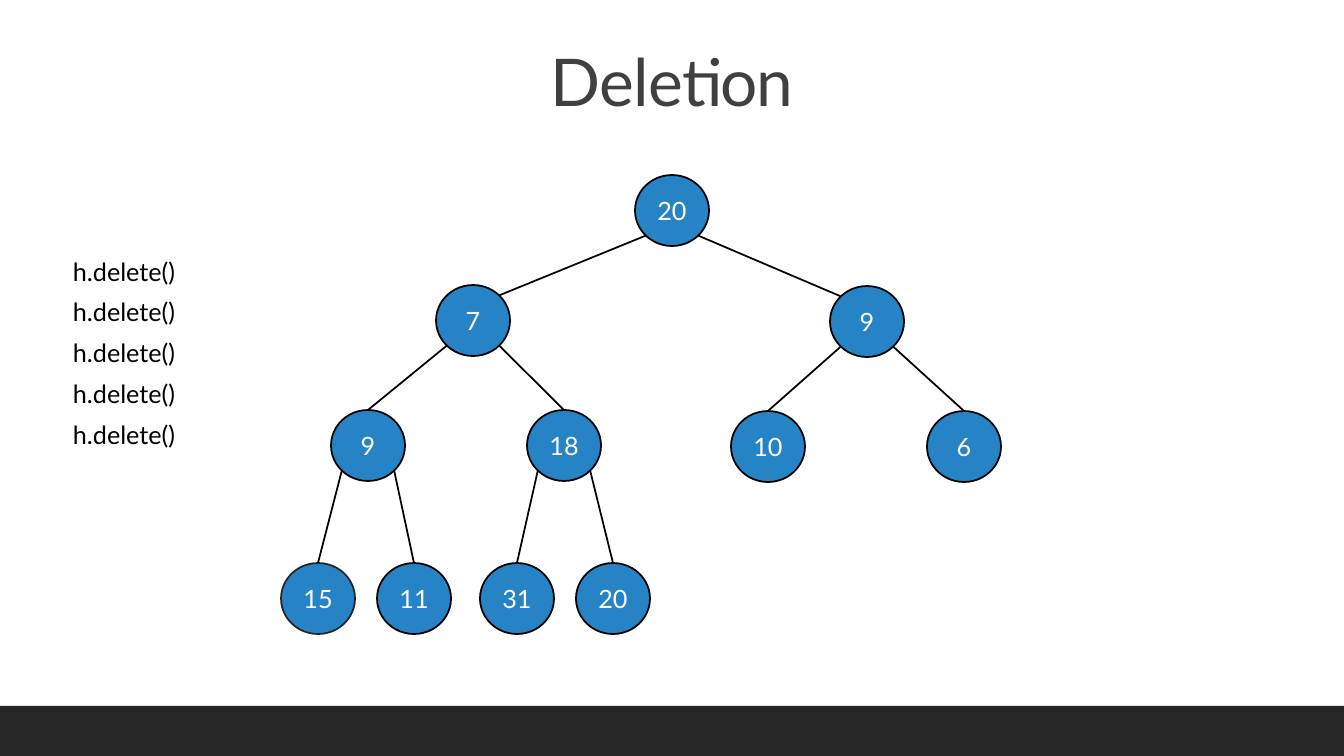
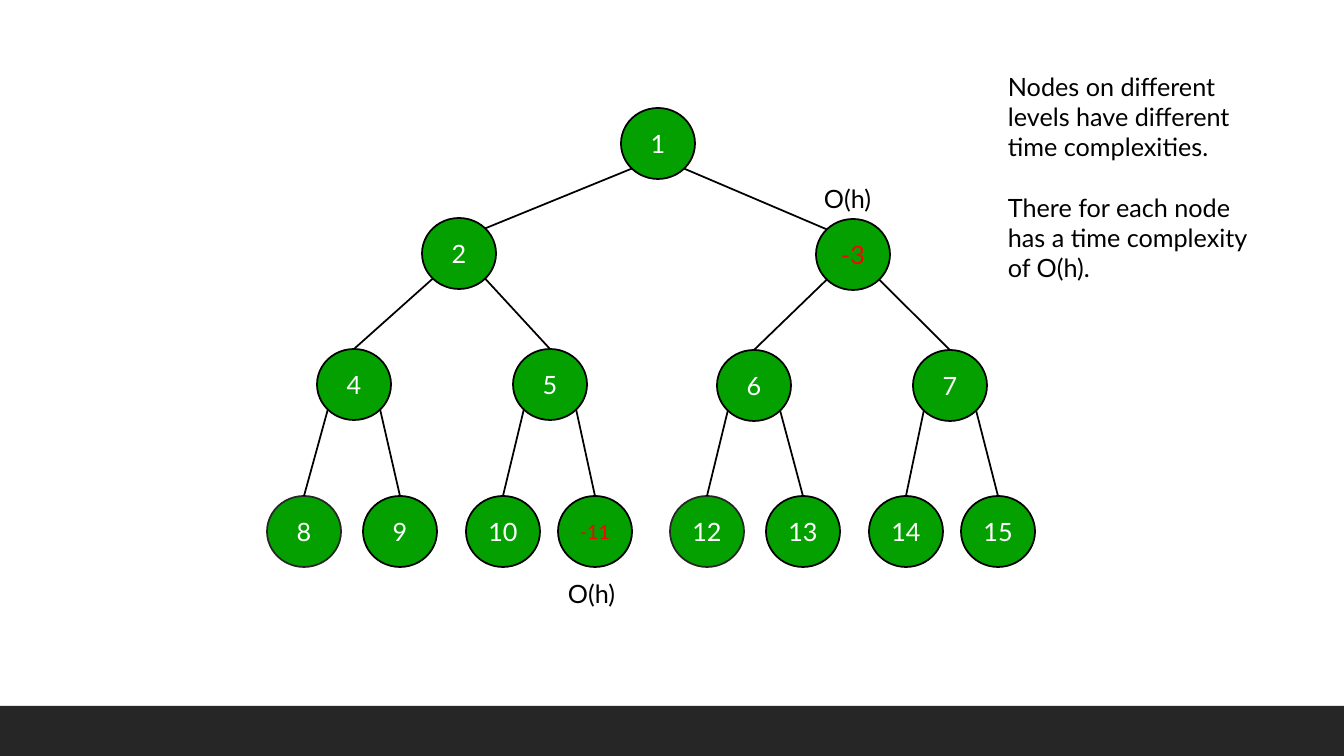
from pptx import Presentation
from pptx.dml.color import RGBColor
from pptx.enum.shapes import MSO_CONNECTOR as Link, MSO_SHAPE as Preset
from pptx.enum.text import MSO_ANCHOR as Anchor, PP_ALIGN as Align
from pptx.oxml.ns import qn
from pptx.util import Pt
from lxml.etree import SubElement

PX = 914400 / 100.8
WIDTH, HEIGHT = 1344, 756
FONT = "Lato"
COLORS = {
    "band": "262626",
    "title": "404040",
    "text": "000000",
    "edge": "000000",
    "label": "FFFFFF",
    "changed": "FF0000",
    "blue": "2683C6",
    "green": "04A000",
}

# Heap layout: the children of node i are 2i + 1 and 2i + 2
NODE_W, NODE_H = 74, 71
LEVEL_OFFSETS = [
    [0],
    [-199, 195],
    [-304, -108, 96, 292],
    [-354, -258, -155, -59, 49, 145, 248, 340],
]
LOWERED = {2, 5, 6}  # right branch sits one pixel lower
SOFT_EDGED = {7, 11}
DIAGONAL = 0.5 ** 0.5 / 2  # centre to a diagonal point, as a share of the size


def px(length):
    return round(length * PX)


def color(name):
    return RGBColor.from_string(COLORS[name])


def style(paragraph, size, tone):
    font = paragraph.font
    font.name, font.size = FONT, Pt(size)
    font.color.rgb = color(tone)


def add_text(slide, box, lines, size=18, tone="text", align=Align.LEFT):
    frame = slide.shapes.add_textbox(*map(px, box)).text_frame
    frame.word_wrap = True
    frame.text = "\n".join(lines)
    for paragraph in frame.paragraphs:
        paragraph.alignment = align
        style(paragraph, size, tone)
    return frame


def add_footer_band(slide, box):
    band = slide.shapes.add_shape(Preset.RECTANGLE, *map(px, box))
    band.shadow.inherit = False
    band.fill.solid()
    band.fill.fore_color.rgb = color("band")
    band.line.fill.background()


def add_title(slide, box, title):
    heading = add_text(slide, box, [title], 47, "title", Align.CENTER).paragraphs[0]
    heading.line_spacing = 0.9
    heading.runs[0].font._element.set("spc", "-50")


def add_edge(slide, start, end):
    edge = slide.shapes.add_connector(Link.STRAIGHT, *map(px, start + end))
    edge.line.color.rgb = color("edge")
    edge.line.width = Pt(1.25)
    SubElement(edge._element.spPr, qn("a:effectLst"))


def add_node(slide, corner, label, fill, edge="edge", size=18, tone="label"):
    node = slide.shapes.add_shape(Preset.OVAL, *map(px, corner + (NODE_W, NODE_H)))
    node.shadow.inherit = False
    node.fill.solid()
    node.fill.fore_color.rgb = color(fill)
    node.line.color.rgb = color(edge)
    node.line.width = Pt(1.25)
    frame = node.text_frame
    frame.margin_left = frame.margin_right = 0
    frame.vertical_anchor = Anchor.MIDDLE
    frame.text = label
    value = frame.paragraphs[0]
    value.alignment = Align.CENTER
    style(value, size, tone)


def rim(corner, across, down):
    """Point on a node's outline; across and down are shares from its centre."""
    left, top = corner
    return left + NODE_W * (0.5 + across), top + NODE_H * (0.5 + down)


def add_heap(slide, root_left, level_tops, labels, fill, special=None):
    special = special or {}
    corners = []
    for top, offsets in zip(level_tops, LEVEL_OFFSETS):
        for offset in offsets:
            drop = 1 if len(corners) in LOWERED else 0
            corners.append((root_left + offset, top + drop))

    for i, label in enumerate(labels):
        options = dict(special.get(i, {}))
        left, top = corners[i]
        corners[i] = left + options.pop("shift", 0), top
        edge = "band" if i in SOFT_EDGED else "edge"
        add_node(slide, corners[i], label, fill, edge, **options)

    for i in range(1, len(labels)):
        side = -DIAGONAL if i % 2 else DIAGONAL
        start = rim(corners[(i - 1) // 2], side, DIAGONAL)
        # The root's edges end on the near shoulder, the others on top
        end = rim(corners[i], -side, -DIAGONAL) if i < 3 else rim(corners[i], 0, -0.5)
        add_edge(slide, start, end)


def add_calls(slide, box, call, count):
    left, top, width, height = box
    row_height = 40
    pitch = (height - row_height) / (count - 1)
    for row in range(count):
        add_text(slide, (left, top + row * pitch, width, row_height), [call])


def add_note(slide, box, *blocks):
    note = add_text(slide, box, [line for block in blocks for line in block])
    start = 0
    for block in blocks[:-1]:
        start += len(block)
        note.paragraphs[start].space_before = Pt(21.6)


def new_slide(deck):
    slide = deck.slides.add_slide(deck.slide_layouts[6])
    add_footer_band(slide, (0, 706, WIDTH, 50))
    return slide


def build_deletion(deck):
    slide = new_slide(deck)
    add_title(slide, (510, 45, 324, 87), "Deletion")
    add_heap(slide, 635, (175, 285, 410, 563),
             ["20", "7", "9", "9", "18", "10", "6", "15", "11", "31", "20"], "blue")
    add_calls(slide, (63, 251, 131, 203), "h.delete()", 5)


def build_complexity(deck):
    slide = new_slide(deck)
    labels = [str(n) for n in range(1, 16)]
    labels[2], labels[10] = "-3", "-11"
    add_heap(slide, 621, (108, 218, 349, 496), labels, "green",
             {2: {"tone": "changed"},
              10: {"tone": "changed", "size": 14, "shift": -4}})
    for left, top in ((814, 178), (558, 573)):
        add_text(slide, (left, top, 79, 40), ["O(h)"])
    add_note(slide, (998, 66, 271, 224),
             ["Nodes on different", "levels have different", "time complexities."],
             ["There for each node", "has a time complexity", "of O(h)."])


deck = Presentation()
deck.slide_width, deck.slide_height = px(WIDTH), px(HEIGHT)
build_deletion(deck)
build_complexity(deck)
deck.save("out.pptx")
